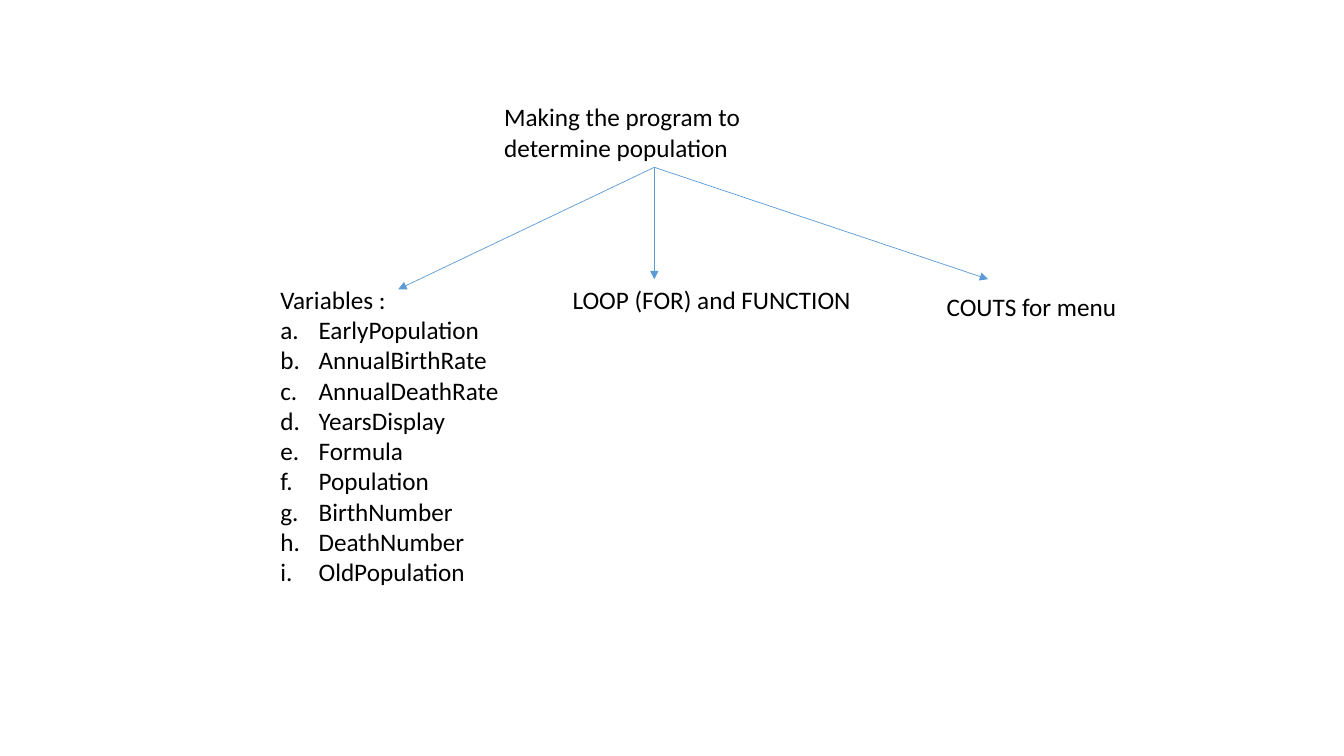
import pptx
import pptx.dml.color
import pptx.enum.shapes
import pptx.enum.text
import pptx.oxml
import pptx.oxml.ns
import pptx.util

BLACK = pptx.dml.color.RGBColor(0x00, 0x00, 0x00)
BLUE = pptx.dml.color.RGBColor(0x5B, 0x9B, 0xD5)
WIDTH, HEIGHT = 13.33, 7.5
ROWS = 75
CELL = HEIGHT / ROWS  # square grid cells, a tenth of an inch

VARIABLES = ["EarlyPopulation", "AnnualBirthRate", "AnnualDeathRate",
             "YearsDisplay", "Formula", "Population", "BirthNumber",
             "DeathNumber", "OldPopulation"]


def cells(n):
    """Turn a count of grid cells into a length."""
    return pptx.util.Inches(n * CELL)


def assign(obj, values):
    """Set attributes of an object from a dict."""
    for name, value in values.items():
        setattr(obj, name, value)


def add_xml(parent, tag, **attrs):
    """Append a DrawingML element to a parent."""
    child = pptx.oxml.parse_xml(f"<a:{tag} {pptx.oxml.ns.nsdecls('a')}/>")
    for name, value in attrs.items():
        child.set(name, value)
    parent.append(child)


class Diagram:
    """Style and current slide of the program diagram."""

    font = {"name": "Calibri", "size": pptx.util.Pt(18), "bold": False}
    frame = {"word_wrap": True,
             "vertical_anchor": pptx.enum.text.MSO_ANCHOR.TOP,
             "auto_size": pptx.enum.text.MSO_AUTO_SIZE.SHAPE_TO_FIT_TEXT}
    para = {"alignment": pptx.enum.text.PP_ALIGN.LEFT, "line_spacing": 1.0,
            "space_before": pptx.util.Pt(0), "space_after": pptx.util.Pt(0)}
    hang = pptx.util.Inches(0.38)

    def __init__(self, prs):
        """Add a title and content slide."""
        self.slide = prs.slides.add_slide(prs.slide_layouts[1])

    def set_text(self, sp, box, lines):
        """Place a text shape on the grid and fill in its lines."""
        assign(sp, dict(zip(("left", "top", "width", "height"),
                            map(cells, box))))
        tf = sp.text_frame
        tf.text = "\n".join(lines)
        assign(tf, self.frame)
        for p in tf.paragraphs:
            assign(p, self.para)
            for r in p.runs:
                assign(r.font, self.font)
                r.font.color.rgb = BLACK

    def title(self, box, text):
        """Fill the title placeholder."""
        self.set_text(self.slide.shapes.title, box, [text])

    def lettered(self, box, heading, items):
        """Fill the body placeholder with a heading and a lettered list."""
        sp = self.slide.placeholders[1]
        self.set_text(sp, box, [heading, *items])
        for i, p in enumerate(sp.text_frame.paragraphs):
            ppr = p._p.get_or_add_pPr()
            indent = self.hang if i else 0
            ppr.set("marL", str(indent))
            ppr.set("indent", str(-indent))
            if i:
                add_xml(ppr, "buFont", typeface="+mj-lt")
                add_xml(ppr, "buAutoNum", type="alphaLcPeriod")
            else:
                add_xml(ppr, "buNone")

    def label(self, box, text):
        """Add a text box."""
        sp = self.slide.shapes.add_textbox(*map(cells, box))
        self.set_text(sp, box, [text])

    def arrow(self, start, end):
        """Add a thin arrow between two grid points."""
        sp = self.slide.shapes.add_connector(
            pptx.enum.shapes.MSO_CONNECTOR.STRAIGHT,
            *map(cells, (*start, *end)))
        sp.line.width = pptx.util.Pt(0.5)
        sp.line.color.rgb = BLUE
        add_xml(sp.line._get_or_add_ln(), "tailEnd", type="triangle")
        add_xml(sp._element.spPr, "effectLst")


prs = pptx.Presentation()
assign(prs, {"slide_width": pptx.util.Inches(WIDTH),
             "slide_height": pptx.util.Inches(HEIGHT)})
diagram = Diagram(prs)
diagram.title((49, 9.6, 31.7, 7.1),
              "Making the program to determine population")
diagram.lettered((26.8, 27.7, 26.9, 31.3), "Variables :", VARIABLES)
diagram.label((55.8, 27.7, 30.2, 4), "LOOP (FOR) and FUNCTION")
diagram.label((92.9, 28.4, 23.6, 4), "COUTS for menu")
root = (64.9, 16.6)
for tip in ((39.5, 28.7), (64.9, 27.7), (98, 27.7)):
    diagram.arrow(root, tip)
prs.save("out.pptx")
